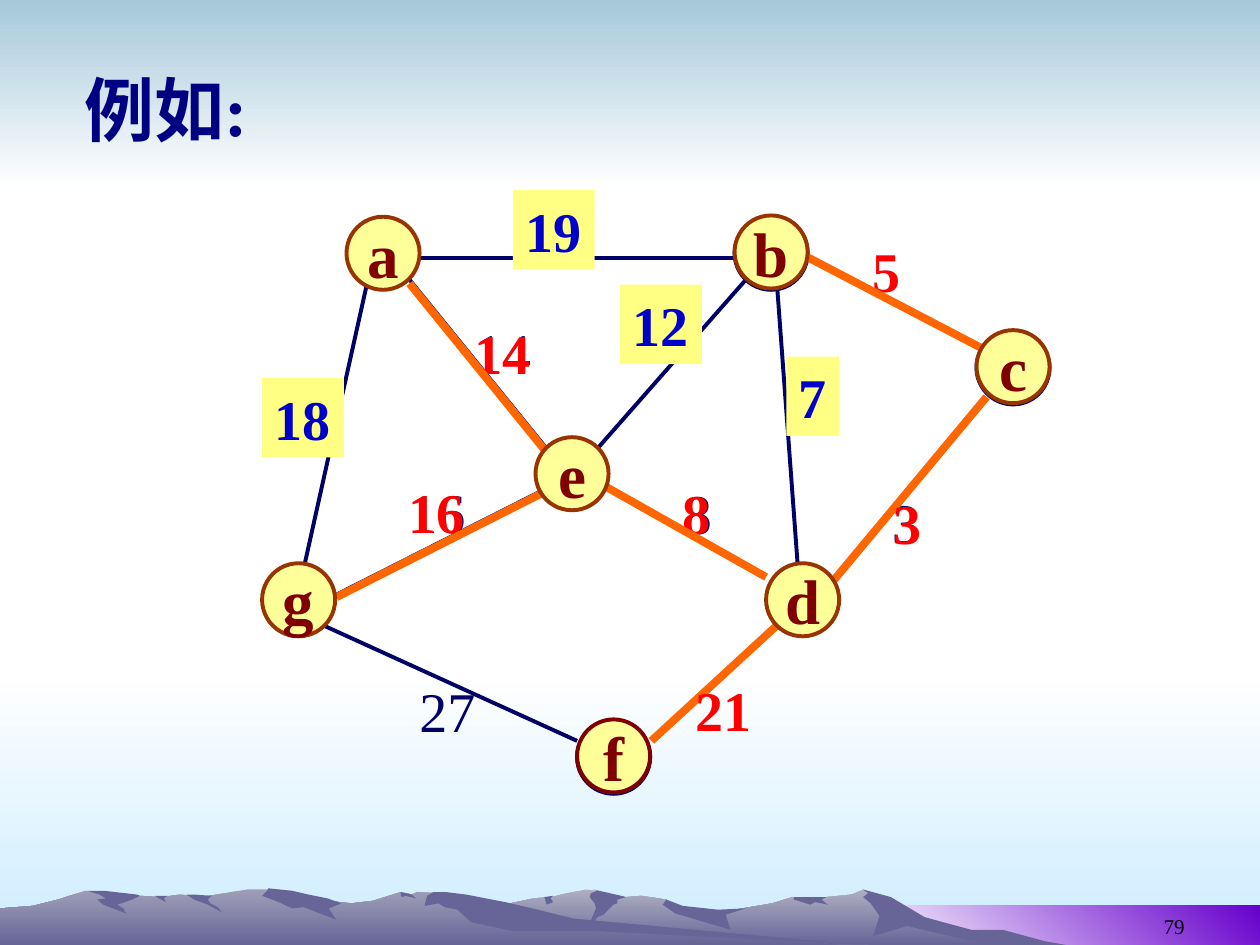
from lxml import etree
from pptx import Presentation
from pptx.dml.color import RGBColor
from pptx.enum.shapes import MSO_CONNECTOR, MSO_SHAPE
from pptx.enum.text import MSO_ANCHOR, MSO_AUTO_SIZE, PP_ALIGN
from pptx.oxml.ns import qn
from pptx.util import Pt

RECT, OVAL = MSO_SHAPE.RECTANGLE, MSO_SHAPE.OVAL
STRAIGHT = MSO_CONNECTOR.STRAIGHT
TOP, MIDDLE, BOTTOM = MSO_ANCHOR.TOP, MSO_ANCHOR.MIDDLE, MSO_ANCHOR.BOTTOM
LEFT, CENTER, RIGHT = PP_ALIGN.LEFT, PP_ALIGN.CENTER, PP_ALIGN.RIGHT
GROW = MSO_AUTO_SIZE.SHAPE_TO_FIT_TEXT

PX = 9144  # 100 px to the inch
LATIN, HAN = "Times New Roman", "Noto Sans CJK SC"

WHITE = RGBColor(0xFF, 0xFF, 0xFF)
BLACK = RGBColor(0x00, 0x00, 0x00)
SKY = RGBColor(0xA6, 0xC9, 0xDA)
ICE = RGBColor(0xCC, 0xEC, 0xFF)
VIOLET = RGBColor(0x66, 0x00, 0xCC)
MIST = RGBColor(0xAE, 0xAE, 0xC2)
HAZE = RGBColor(0x9F, 0x9E, 0xB8)
ROCK = RGBColor(0x67, 0x65, 0x97)
NAVY = RGBColor(0x00, 0x00, 0x66)
INK = RGBColor(0x00, 0x00, 0x82)
BLUE = RGBColor(0x00, 0x00, 0xCC)
RED = RGBColor(0xFF, 0x00, 0x00)
ORANGE = RGBColor(0xFF, 0x66, 0x00)
YELLOW = RGBColor(0xFF, 0xFF, 0x84)
CREAM = RGBColor(0xFF, 0xFF, 0x99)
MINT = RGBColor(0xCC, 0xFF, 0xCC)
BROWN = RGBColor(0x99, 0x33, 0x00)
MAROON = RGBColor(0x80, 0x00, 0x00)

# Ridges: outline, top colour
RIDGES = [
    ([(802, 41), (778, 35), (764, 33), (723, 20), (702, 7), (685, 1), (676, 5),
      (656, 7), (629, 7), (613, 12), (566, 20), (536, 16), (529, 9), (509, 6),
      (486, 8), (474, 2), (465, 1), (450, 4), (438, 7), (424, 8), (405, 12),
      (394, 14), (355, 20), (327, 26), (277, 40), (262, 45), (816, 45)], MIST),
    ([(690, 45), (667, 45), (432, 27), (354, 4), (331, 3), (327, 5), (318, 3),
      (296, 10), (279, 12), (260, 10), (236, 12), (223, 3), (215, 1), (196, 1),
      (178, 4), (160, 7), (143, 5), (128, 7), (111, 6), (94, 7), (68, 2),
      (55, 6), (46, 9), (26, 14), (0, 16), (0, 45)], HAZE),
]
# Dark crags lying on each ridge
CRAGS = [
    [[(796, 33), (771, 33), (734, 23), (707, 7), (685, 1), (689, 4), (685, 7),
      (691, 12), (698, 22), (693, 38), (720, 30), (784, 45), (846, 45),
      (829, 42)],
     [(471, 1), (474, 2), (469, 4), (468, 7), (472, 12), (473, 16), (465, 35),
      (474, 23), (479, 21), (487, 13), (490, 12), (490, 9), (497, 7), (493, 6)],
     [(529, 9), (526, 13), (536, 20), (580, 33), (576, 21), (592, 16),
      (570, 17), (542, 14)],
     [(650, 7), (630, 7), (630, 9), (643, 13), (647, 11), (657, 13), (652, 9),
      (656, 7)],
     [(433, 10), (432, 7), (439, 6), (437, 8), (439, 11), (434, 13)]],
    [[(212, 2), (208, 6), (219, 10), (232, 16), (241, 15), (267, 25), (261, 16),
      (271, 12), (260, 8), (245, 5), (232, 2), (213, 0)],
     [(370, 5), (354, 3), (344, 3), (339, 6), (337, 14), (348, 12), (353, 15),
      (363, 17), (374, 27), (407, 34), (472, 34), (690, 45), (683, 45),
      (455, 24), (427, 17), (401, 11)],
     [(318, 5), (318, 3), (327, 5), (330, 8), (322, 6), (319, 7)],
     [(154, 5), (168, 6), (165, 9), (167, 12), (173, 15), (176, 19), (165, 13),
      (154, 9), (148, 5)],
     [(133, 6), (130, 8), (132, 11), (126, 8), (123, 6)],
     [(109, 5), (111, 6), (105, 9), (93, 13), (98, 16), (100, 20), (82, 13),
      (77, 9), (84, 8), (79, 5), (69, 2), (83, 2)]],
]

# Graph parts, relative to its box
NODES = {"e": (225, 197), "d": (408, 297), "c": (575, 112), "b": (383, 21),
         "g": (8, 297), "f": (258, 421), "a": (75, 22)}
RIMS = "bcf"  # nodes whose dark rim shows below
EDGES = [(125, 72, 233, 205), (92, 72, 42, 297), (67, 322, 233, 238),
         (58, 347, 258, 438), (417, 80, 433, 297), (392, 72, 275, 205),
         (133, 55, 383, 55)]
TREE = [(417, 346, 317, 438), (583, 165, 458, 315), (125, 75, 233, 208),
        (275, 233, 408, 308), (433, 50, 592, 133), (67, 324, 233, 240)]
DARK = [("14", 167, 97), ("27", 123, 382), ("16", 115, 224), ("8", 333, 225),
        ("3", 498, 232)]
UNDER = [("14", 167, 98), ("8", 332, 225), ("5", 483, 33), ("16", 114, 224)]
OVER = [("21", 342, 381), ("3", 499, 233)]
TAGS = [("7", 424, 133), ("12", 292, 76), ("18", 8, 150), ("19", 207, 1)]


def emu(*vals):
    return [round(v * PX) for v in vals]


def paint(shape, tint, end=None, angle=270):
    shape.shadow.inherit = False
    shape.line.fill.background()
    if end is None:
        shape.fill.solid()
        shape.fill.fore_color.rgb = tint
        return
    shape.fill.gradient()
    shape.fill.gradient_angle = angle
    for stop, rgb, pos in zip(shape.fill.gradient_stops, (tint, end), (0, 1)):
        stop.color.rgb = rgb
        stop.position = pos


def write(shape, text, size, color, bold=True, align=LEFT, anchor=TOP,
          wrap=False):
    frame = shape.text_frame
    frame.word_wrap = wrap
    frame.vertical_anchor = anchor
    para = frame.paragraphs[0]
    para.alignment = align
    run = para.add_run()
    run.text = text
    font = run.font
    font.size, font.bold, font.name = Pt(size), bold, LATIN
    font.color.rgb = color
    etree.SubElement(run._r.get_or_add_rPr(), qn("a:ea")).set("typeface", HAN)


def band(slide, box, tint, end, angle=270):
    paint(slide.shapes.add_shape(RECT, *emu(*box)), tint, end, angle)


def rock(slide, box, points, *tints):
    spots = [(x + box[0], y + box[1]) for x, y in points]
    pen = slide.shapes.build_freeform(*spots[0], scale=PX)
    pen.add_line_segments(spots[1:], close=True)
    paint(pen.convert_to_shape(), *tints)


def hills(slide, box):
    for (ridge, tint), crags in zip(RIDGES, CRAGS):
        rock(slide, box, ridge, tint, ROCK)
        for crag in crags:
            rock(slide, box, crag, ROCK)


def head(slide, box):
    title = slide.shapes.title
    title.left, title.top, title.width, title.height = emu(*box)
    write(title, "例如:", 40, INK)
    title.text_frame.auto_size = GROW
    slide.shapes._spTree.append(title._element)  # above the scenery


def page(slide, box):
    note = slide.shapes.add_textbox(*emu(*box))
    write(note, "79", 12, BLACK, False, RIGHT, BOTTOM, True)


def graph(slide, box):
    left, top = box[:2]
    shapes = slide.shapes

    def edges(ends, color, width):
        for x1, y1, x2, y2 in ends:
            line = shapes.add_connector(
                STRAIGHT, *emu(left + x1, top + y1, left + x2, top + y2))
            line.line.color.rgb = color
            line.line.width = Pt(width)
            etree.SubElement(line._element.spPr, qn("a:effectLst"))

    def labels(items, color, bold=True, fill=None):
        for text, x, y in items:
            place = emu(left + x, top + y, 19 + 23 * len(text), 63)
            if fill is None:
                mark = shapes.add_textbox(*place)
            else:
                mark = shapes.add_shape(RECT, *place)
                paint(mark, fill)
            write(mark, text, 32, color, bold)
            mark.text_frame.auto_size = GROW

    def node(name, fill, rim, drop=0):
        x, y = NODES[name]
        ball = shapes.add_shape(OVAL, *emu(left + x, top + y + drop, 58, 58))
        paint(ball, fill)
        ball.line.color.rgb = rim
        ball.line.width = Pt(2.25)
        return ball

    # Plain graph
    for name in RIMS:
        node(name, MINT, NAVY, 1)
    edges(EDGES, NAVY, 2.25)
    labels(DARK, NAVY, False)
    # Spanning tree, with tags on the edges left out
    labels(UNDER, RED)
    labels(TAGS, BLUE, fill=YELLOW)
    edges(TREE, ORANGE, 4.5)
    for name in NODES:
        ball = node(name, CREAM, MAROON if name == "f" else BROWN)
        write(ball, name, 36, MAROON, align=CENTER, anchor=MIDDLE)
    labels(OVER, RED)


def main():
    deck = Presentation()
    deck.slide_width, deck.slide_height = emu(1000, 750)
    slide = deck.slides.add_slide(deck.slide_layouts[5])
    # Scenery
    band(slide, (0, 533, 1000, 217), WHITE, ICE)
    band(slide, (0, 0, 1000, 150), SKY, WHITE)
    band(slide, (683, 719, 317, 31), WHITE, VIOLET, 45)
    hills(slide, (0, 705, 1000, 45))
    # Content
    page(slide, (717, 703, 233, 47))
    head(slide, (57, 48, 160, 77))
    graph(slide, (200, 150, 640, 480))
    deck.save("out.pptx")


if __name__ == "__main__":
    main()
